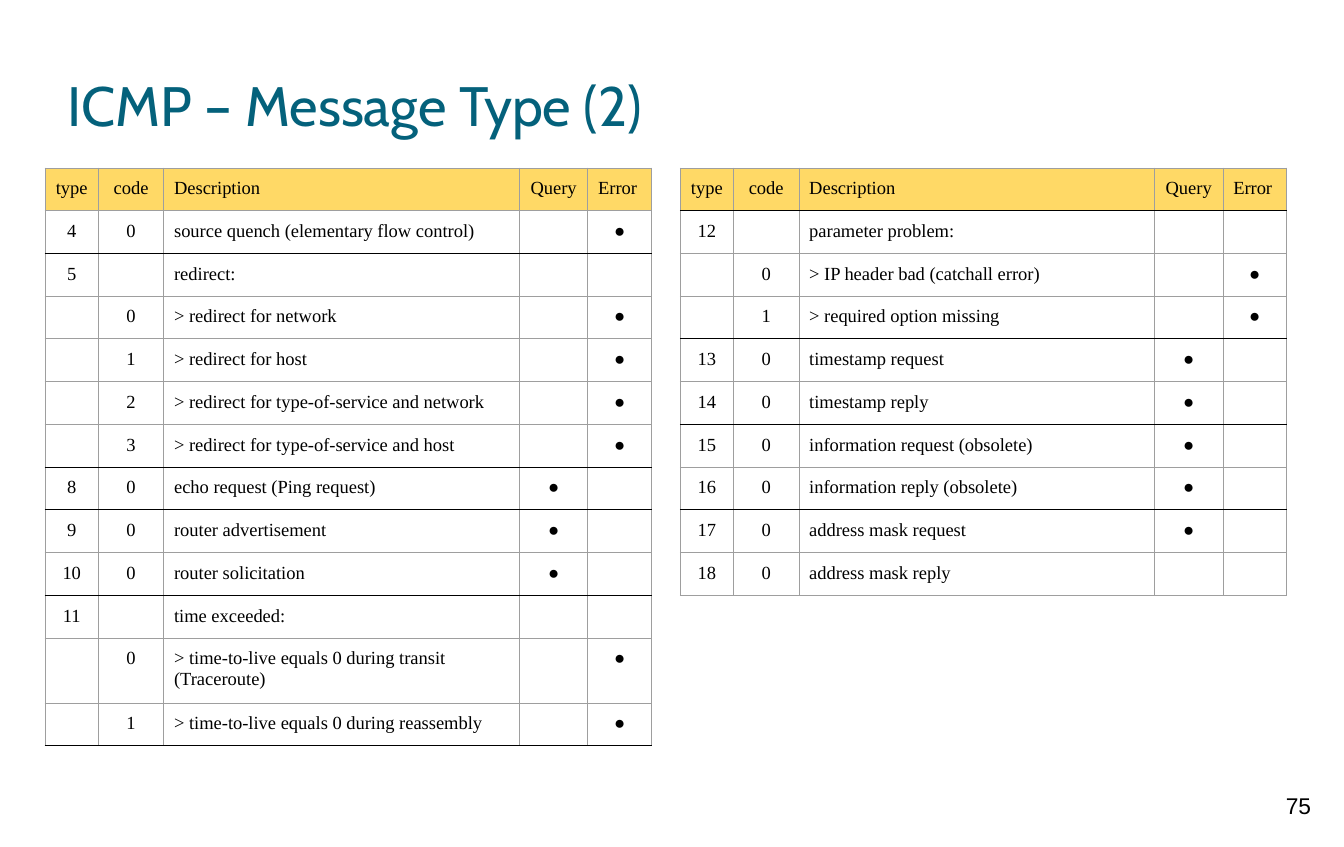
from lxml import etree
from pptx import Presentation
from pptx.dml.color import RGBColor
from pptx.enum import text
from pptx.oxml import ns
from pptx.util import Inches, Pt

TEAL = RGBColor(0x04, 0x61, 0x7B)
GOLD = RGBColor(0xFF, 0xD9, 0x66)
GRAY = RGBColor(0x9E, 0x9E, 0x9E)
BLACK = RGBColor(0, 0, 0)

# Content: type, code, description, mark column (Q query, E error)
TITLE = "ICMP – Message Type (2)"
PAGE = "75"
HEAD = ("type", "code", "Description", "Query", "Error")
LEFT = [
    ("4", "0", "source quench (elementary flow control)", "E"),
    ("5", "", "redirect:", ""),
    ("", "0", "> redirect for network", "E"),
    ("", "1", "> redirect for host", "E"),
    ("", "2", "> redirect for type-of-service and network", "E"),
    ("", "3", "> redirect for type-of-service and host", "E"),
    ("8", "0", "echo request (Ping request)", "Q"),
    ("9", "0", "router advertisement", "Q"),
    ("10", "0", "router solicitation", "Q"),
    ("11", "", "time exceeded:", ""),
    ("", "0", "> time-to-live equals 0 during transit (Traceroute)", "E"),
    ("", "1", "> time-to-live equals 0 during reassembly", "E"),
]
RIGHT = [
    ("12", "", "parameter problem:", ""),
    ("", "0", "> IP header bad (catchall error)", "E"),
    ("", "1", "> required option missing", "E"),
    ("13", "0", "timestamp request", "Q"),
    ("14", "0", "timestamp reply", "Q"),
    ("15", "0", "information request (obsolete)", "Q"),
    ("16", "0", "information reply (obsolete)", "Q"),
    ("17", "0", "address mask request", "Q"),
    ("18", "0", "address mask reply", ""),
]
# Left edge, rows, indices of rows with a black rule below
TABLES = [(0.44, LEFT, (1, 6, 7, 9, 12)), (6.64, RIGHT, (0, 3, 5, 7))]
TOP, ROW, LINE = 1.64, 0.4, 0.2
COLS = (0.52, 0.64, 3.47, 0.67, 0.62)
WRAP = 45  # characters that fit in one description line
PAD = 0.1
SIDES = ("left", "right", "top", "bottom")
MID, START = text.PP_ALIGN.CENTER, text.PP_ALIGN.LEFT
CELL = {"name": "Times New Roman", "size": Pt(13)}


def write(frame, words, align, form, color):
    para = frame.paragraphs[0]
    para.alignment = align
    run = para.add_run()
    run.text = words
    for key, val in form.items():
        setattr(run.font, key, val)
    run.font.color.rgb = color


def label(slide, words, box, pad, align, anchor, form, color):
    frame = slide.shapes.add_textbox(*map(Inches, box)).text_frame
    frame.word_wrap = True
    frame.vertical_anchor = anchor
    for side in SIDES:
        setattr(frame, "margin_" + side, Inches(pad))
    write(frame, words, align, form, color)


def border(cell, above, below):
    props = cell._tc.get_or_add_tcPr()
    for tag, color in zip("LRTB", (GRAY, GRAY, above, below)):
        line = etree.SubElement(props, ns.qn("a:ln" + tag), w=str(Pt(0.75)))
        fill = etree.SubElement(line, ns.qn("a:solidFill"))
        etree.SubElement(fill, ns.qn("a:srgbClr"), val=str(color))


def grid(slide, left, data, rules):
    rows = [HEAD] + [
        (kind, code, desc, "●" if mark == "Q" else "", "●" if mark == "E" else "")
        for kind, code, desc, mark in data
    ]
    highs = [ROW + LINE * (len(row[2]) > WRAP) for row in rows]
    box = (left, TOP, sum(COLS), sum(highs))
    table = slide.shapes.add_table(len(rows), len(COLS), *map(Inches, box)).table
    table.first_row = table.horz_banding = False
    for col, wide in zip(table.columns, COLS):
        col.width = Inches(wide)
    for r, row in enumerate(rows):
        table.rows[r].height = Inches(highs[r])
        above, below = (BLACK if n in rules else GRAY for n in (r - 1, r))
        for c, words in enumerate(row):
            cell = table.cell(r, c)
            border(cell, above, below)
            if r == 0:
                cell.fill.solid()
                cell.fill.fore_color.rgb = GOLD
            else:
                cell.fill.background()
            if words:
                for side in SIDES:
                    setattr(cell, "margin_" + side, Inches(PAD))
                flush = c == 2 or words == "Error"
                write(cell.text_frame, words, START if flush else MID, CELL, BLACK)


def main():
    deck = Presentation()
    deck.slide_width, deck.slide_height = Inches(13.12), Inches(8.27)
    slide = deck.slides.add_slide(deck.slide_layouts[6])

    # Page number and title
    label(slide, PAGE, (12.28, 7.63, 0.79, 0.63), PAD, MID,
          text.MSO_ANCHOR.TOP, {"name": "Arial", "size": Pt(16)}, BLACK)
    label(slide, TITLE, (0.66, 0.33, 11.81, 1.38), 0, START,
          text.MSO_ANCHOR.MIDDLE, {"name": "Cabin", "size": Pt(39)}, TEAL)

    # Message tables
    for left, data, rules in TABLES:
        grid(slide, left, data, rules)
    deck.save("out.pptx")


if __name__ == "__main__":
    main()
